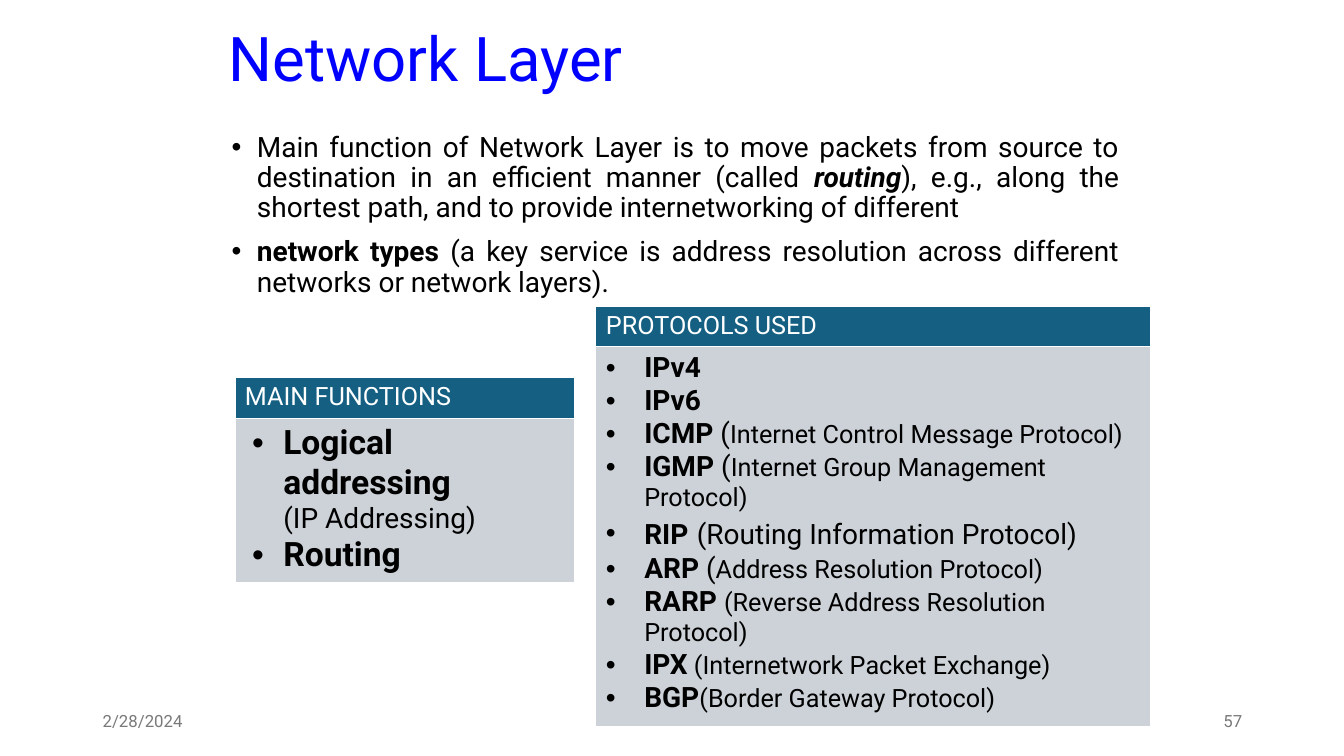
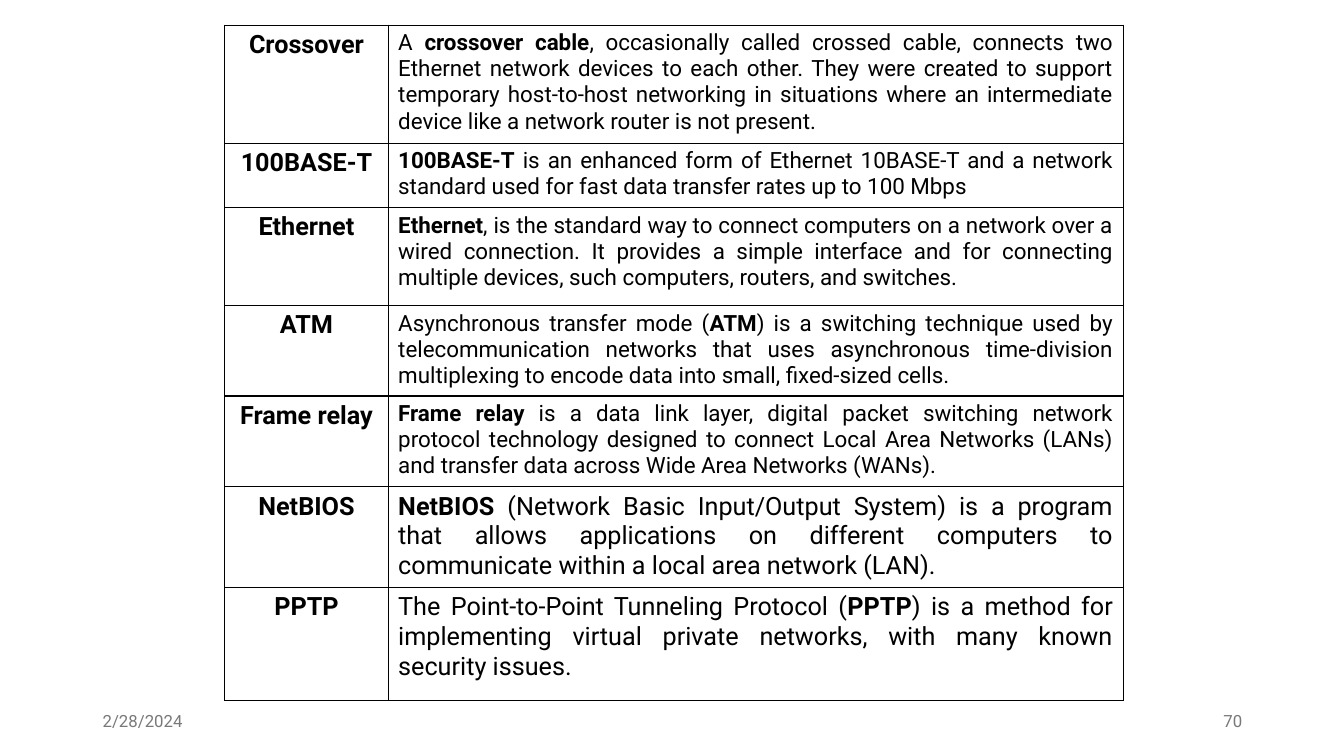
from lxml.etree import SubElement
from pptx import Presentation
from pptx.dml.color import RGBColor
from pptx.enum.text import MSO_ANCHOR, PP_ALIGN
from pptx.oxml.ns import qn
from pptx.util import Inches, Pt

FONT = "Roboto"
BLACK, WHITE, BLUE = "000000", "FFFFFF", "0000FF"
TEAL, PALE, GREY = "156082", "CCD2D8", "797979"


def write(p, runs, color=BLACK, align=None, left=0, hang=0):
    """Fill a paragraph with (text, size, style) runs; hang adds a bullet."""
    if hang:
        pPr = p._p.get_or_add_pPr()
        pPr.set("marL", str(Inches(left)))
        pPr.set("indent", str(-Inches(hang)))
        SubElement(pPr, qn("a:buFont"), typeface="Arial")
        SubElement(pPr, qn("a:buChar"), char="•")
    p.alignment = align
    for text, size, style in runs:
        if text == "\n":
            p.add_line_break()
            continue
        r = p.add_run()
        r.text = text
        r.font.name, r.font.size = FONT, Pt(size)
        r.font.bold, r.font.italic = "b" in style, "i" in style
        r.font.color.rgb = RGBColor.from_string(color)


def style_cell(cell, line, fill=None, bottom=1):
    """Give a cell its four borders and its fill."""
    tcPr = cell._tc.get_or_add_tcPr()
    for side, width in (("L", 1), ("R", 1), ("T", 1), ("B", bottom)):
        ln = SubElement(tcPr, qn(f"a:ln{side}"), w=str(Pt(width)))
        SubElement(SubElement(ln, qn("a:solidFill")), qn("a:srgbClr"), val=line)
    if fill:
        cell.fill.solid()
        cell.fill.fore_color.rgb = RGBColor.from_string(fill)
    else:
        cell.fill.background()


prs = Presentation()
prs.slide_width, prs.slide_height = Inches(13.33), Inches(7.5)
blank = prs.slide_layouts[6]

# Slide 1: title
s = prs.slides.add_slide(blank)
tf = s.shapes.add_textbox(Inches(2.17), Inches(-0.01), Inches(9), Inches(1.25)).text_frame
tf.word_wrap, tf.vertical_anchor = True, MSO_ANCHOR.MIDDLE
write(tf.paragraphs[0], [("Network Layer", 44, "")], BLUE)
tf.paragraphs[0].line_spacing = 0.9

# Slide 1: body
body = [
    [("Main function of Network Layer is to move packets from source to destination "
      "in an efficient manner (called ", 20, ""),
     ("routing", 20, "bi"),
     ("), e.g., along the shortest path, and to provide internetworking of different", 20, "")],
    [("network types ", 20, "b"),
     ("(a key service is address resolution across different networks or network layers).",
      20, "")],
]
tf = s.shapes.add_textbox(Inches(2.2), Inches(1.27), Inches(9), Inches(4.95)).text_frame
tf.word_wrap = True
for i, runs in enumerate(body):
    p = tf.add_paragraph() if i else tf.paragraphs[0]
    write(p, runs, align=PP_ALIGN.JUSTIFY, left=0.25, hang=0.25)
    p.line_spacing, p.space_before = 0.9, Pt(10 if i else 0)

# Slide 1: one-column tables with a header
protocols = [
    [("IPv4", 20, "b")],
    [("IPv6", 20, "b")],
    [("ICMP", 20, "b"), (" (", 20, ""), ("Internet Control Message Protocol)", 18, "")],
    [("IGMP", 20, "b"), (" (", 20, ""), ("Internet Group Management Protocol)", 18, "")],
    [("RIP", 20, "b"), (" ", 24, ""), ("(Routing Information Protocol)", 20, "")],
    [("ARP", 20, "b"), (" (", 20, ""), ("Address Resolution Protocol)", 18, "")],
    [("RARP ", 20, "b"), ("(Reverse Address Resolution Protocol)", 18, "")],
    [("IPX", 20, "b"), (" (Internetwork Packet Exchange)", 18, "")],
    [("BGP", 20, "b"), ("(Border Gateway Protocol)", 18, "")],
]
functions = [
    [("Logical addressing ", 24, "b"), ("\n", 24, "b"), ("(IP Addressing)", 20, "")],
    [("Routing", 24, "b")],
]
for header, items, x, y, width, heights, hang in (
    ("PROTOCOLS USED", protocols, 5.91, 3.04, 5.5, (0.4, 3.35), 0.38),
    ("MAIN FUNCTIONS", functions, 2.33, 3.74, 3.37, (0.41, 1.6), 0.31),
):
    table = s.shapes.add_table(2, 1, Inches(x), Inches(y), Inches(width),
                               Inches(sum(heights))).table
    table.first_row = table.horz_banding = False
    for row, height in zip(table.rows, heights):
        row.height = Inches(height)
    head, content = table.cell(0, 0), table.cell(1, 0)
    style_cell(head, WHITE, TEAL)
    style_cell(content, WHITE, PALE)
    write(head.text_frame.paragraphs[0], [(header, 18, "")], WHITE)
    tf = content.text_frame
    for i, runs in enumerate(items):
        p = tf.add_paragraph() if i else tf.paragraphs[0]
        write(p, runs, left=0.38, hang=hang)

# Slide 2: glossary table of term, row height, text size and definition
glossary = [
    ("Crossover", 1.17, 16, [
        ("A ", ""), ("crossover cable", "b"),
        (", occasionally called crossed cable, connects two Ethernet network devices to each "
         "other. They were created to support temporary host-to-host networking in situations "
         "where an intermediate device like a network router is not present. ", "")]),
    ("100BASE-T", 0.64, 16, [
        ("100BASE-T", "b"),
        (" is an enhanced form of Ethernet 10BASE-T and a network standard used for fast data "
         "transfer rates up to 100 Mbps", "")]),
    ("Ethernet", 0.97, 16, [
        ("Ethernet", "b"),
        (", is the standard way to connect computers on a network over a wired connection. It "
         "provides a simple interface and for connecting multiple devices, such computers, "
         "routers, and switches.", "")]),
    ("ATM", 0.9, 16, [
        ("Asynchronous transfer mode (", ""), ("ATM", "b"),
        (") is a switching technique used by telecommunication networks that uses asynchronous "
         "time-division multiplexing to encode data into small, fixed-sized cells. ", "")]),
    ("Frame relay", 0.9, 16, [
        ("Frame relay", "b"),
        (" is a data link layer, digital packet switching network protocol technology designed "
         "to connect Local Area Networks (LANs) and transfer data across Wide Area Networks "
         "(WANs).", "")]),
    ("NetBIOS", 1, 18, [
        ("NetBIOS", "b"),
        (" (Network Basic Input/Output System) is a program that allows applications on "
         "different computers to communicate within a local area network (LAN).", "")]),
    ("PPTP", 1.12, 18, [
        ("The Point-to-Point Tunneling Protocol (", ""), ("PPTP", "b"),
        (") is a method for implementing virtual private networks, with many known security "
         "issues.", "")]),
]
s = prs.slides.add_slide(blank)
table = s.shapes.add_table(len(glossary), 2, Inches(2.23), Inches(0.25),
                           Inches(8.91), Inches(6.7)).table
table.first_row = table.horz_banding = False
table.columns[0].width, table.columns[1].width = Inches(1.62), Inches(7.29)
for row, (term, height, size, parts) in zip(table.rows, glossary):
    row.height = Inches(height)
    for cell in row.cells:
        style_cell(cell, BLACK)
    name, definition = [cell.text_frame.paragraphs[0] for cell in row.cells]
    write(name, [(term, 18, "b")], align=PP_ALIGN.CENTER)
    write(definition, [(text, size, style) for text, style in parts], align=PP_ALIGN.JUSTIFY)

# Footers: date and slide number
for s, number in zip(prs.slides, ("57", "70")):
    for text, x, align in (("2/28/2024", 0.92, PP_ALIGN.LEFT), (number, 9.42, PP_ALIGN.RIGHT)):
        tf = s.shapes.add_textbox(Inches(x), Inches(6.95), Inches(3), Inches(0.4)).text_frame
        tf.word_wrap, tf.vertical_anchor = True, MSO_ANCHOR.MIDDLE
        write(tf.paragraphs[0], [(text, 12, "")], GREY, align)

prs.save("out.pptx")
